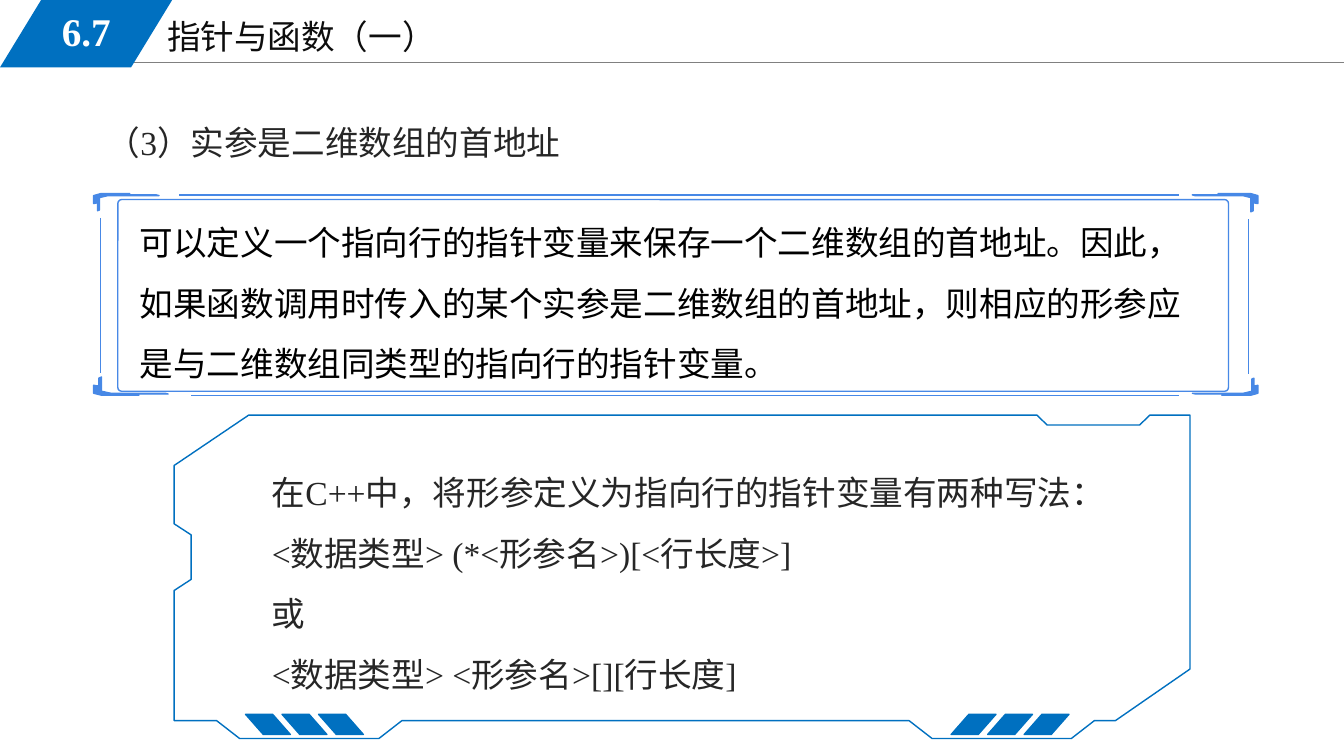
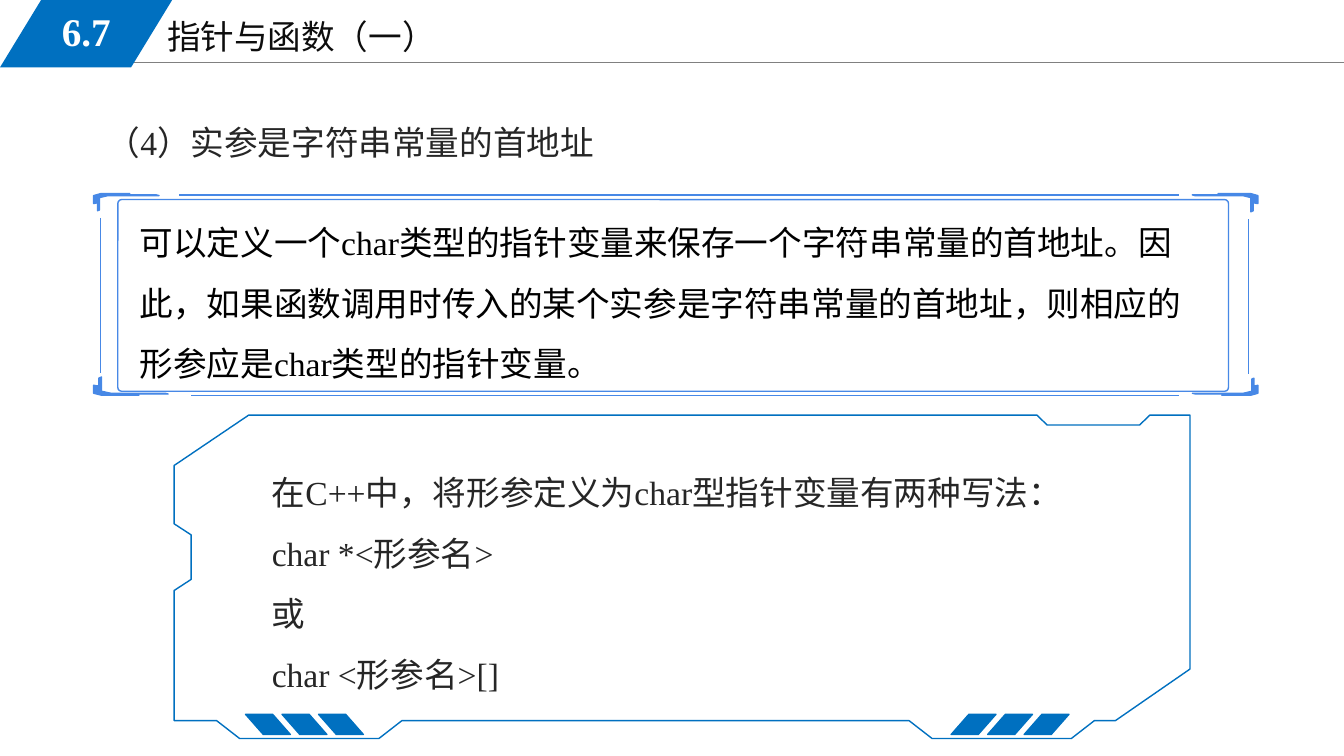
from lxml.etree import SubElement
from pptx import Presentation
from pptx.dml.color import RGBColor
from pptx.enum.shapes import MSO_CONNECTOR, MSO_SHAPE
from pptx.enum.text import MSO_ANCHOR, MSO_AUTO_SIZE, PP_ALIGN
from pptx.oxml.ns import qn
from pptx.util import Cm, Pt

BLUE = RGBColor(0x00, 0x70, 0xC0)
FRAME_BLUE = RGBColor(0x47, 0x88, 0xE6)
GREY = RGBColor(0x80, 0x80, 0x80)
TITLE_INK = RGBColor(0x0D, 0x0D, 0x0D)
INK = RGBColor(0x26, 0x26, 0x26)
BLACK = RGBColor(0x00, 0x00, 0x00)
WHITE = RGBColor(0xFF, 0xFF, 0xFF)

LATIN_FONT = "Times New Roman"
CJK_FONT = "Noto Sans CJK SC"
BODY_PITCH = Pt(43.2)

SLIDE_W, SLIDE_H = 33.87, 19.05
HEADING_BOX = (2.44, 2.44, 15.14, 1.63)
FRAME_BOX = (2.36, 4.88, 29.34, 5.08)
PANEL_BOX = (4.39, 10.46, 25.6, 8.15)

# Outlines in cm: brackets from their corner, the panel from its top left.
THIN_BRACKET = [
    (0.18, 0), (0.91, 0), (0.81, 0.03), (1.57, 0.03), (1.65, 0.05),
    (0.36, 0.05), (0.15, 0.1), (0.15, 0.41), (0.1, 0.43), (0.1, 0.23),
    (0, 0.25), (0, 0.05),
]
WIDE_BRACKET = [
    (0, 0.05), (0, 0.25), (0.13, 0.23), (0.13, 0.43), (0.2, 0.46),
    (0.2, 0.1), (0.43, 0.05), (1.8, 0.05), (1.88, 0.03), (1.02, 0.03),
    (1.14, 0), (0.2, 0),
]
PANEL_OUTLINE = [
    (19.1, 8.15), (22.61, 8.15), (23.19, 7.7), (23.72, 7.7), (25.6, 6.4),
    (25.6, 0), (24.59, 0), (24.33, 0.25), (22, 0.25), (21.74, 0),
    (1.88, 0), (0, 1.27), (0, 2.74), (0.43, 3.02), (0.43, 4.14),
    (0, 4.42), (0, 7.7), (1.07, 7.7), (1.65, 8.15), (5.16, 8.15),
    (5.74, 7.7), (18.52, 7.7),
]

SLIDES = [
    {
        "heading": "（3）实参是二维数组的首地址",
        "rule": "可以定义一个指向行的指针变量来保存一个二维数组的首地址。因此，"
                "如果函数调用时传入的某个实参是二维数组的首地址，则相应的形参应"
                "是与二维数组同类型的指向行的指针变量。",
        "syntax": [
            "在C++中，将形参定义为指向行的指针变量有两种写法：",
            "<数据类型> (*<形参名>)[<行长度>]",
            "或",
            "<数据类型> <形参名>[][行长度]",
        ],
    },
    {
        "heading": "（4）实参是字符串常量的首地址",
        "rule": "可以定义一个char类型的指针变量来保存一个字符串常量的首地址。因"
                "此，如果函数调用时传入的某个实参是字符串常量的首地址，则相应的"
                "形参应是char类型的指针变量。",
        "syntax": [
            "在C++中，将形参定义为char型指针变量有两种写法：",
            "char *<形参名>",
            "或",
            "char <形参名>[]",
        ],
    },
]


def style(sp, fill=None, line=None):
    sp.shadow.inherit = False
    if fill is None:
        sp.fill.background()
    else:
        sp.fill.solid()
        sp.fill.fore_color.rgb = fill
    if line is None:
        sp.line.fill.background()
    else:
        sp.line.color.rgb = line
        sp.line.width = Pt(1)


def add_preset(slide, kind, box, adj, fill=None, line=None):
    sp = slide.shapes.add_shape(kind, *map(Cm, box))
    sp.adjustments[0] = adj
    style(sp, fill, line)
    return sp


def add_outline(slide, points, fill=None, line=None):
    pts = [(Cm(x), Cm(y)) for x, y in points]
    builder = slide.shapes.build_freeform(*pts[0])
    builder.add_line_segments(pts[1:], close=True)
    style(builder.convert_to_shape(), fill, line)


def add_line(slide, x1, y1, x2, y2, color, width=1):
    line = slide.shapes.add_connector(
        MSO_CONNECTOR.STRAIGHT, Cm(x1), Cm(y1), Cm(x2), Cm(y2))
    line.line.color.rgb = color
    line.line.width = Pt(width)
    SubElement(line._element.spPr, qn("a:effectLst"))


def add_text(slide, box, lines, color, size=24, bold=False, align=None,
             pitch=None, anchor=MSO_ANCHOR.TOP, grow=False):
    tf = slide.shapes.add_textbox(*map(Cm, box)).text_frame
    tf.word_wrap = True
    tf.vertical_anchor = anchor
    if grow:
        tf.auto_size = MSO_AUTO_SIZE.SHAPE_TO_FIT_TEXT
    for i, text in enumerate(lines):
        p = tf.paragraphs[0] if i == 0 else tf.add_paragraph()
        p.alignment = align
        p.line_spacing = pitch
        r = p.add_run()
        r.text = text
        r.font.size = Pt(size)
        r.font.bold = bold
        r.font.color.rgb = color
        r.font.name = LATIN_FONT
        SubElement(r.font._element, qn("a:ea")).set("typeface", CJK_FONT)


def add_body(slide, box, lines, color=INK):
    add_text(slide, box, lines, color, pitch=BODY_PITCH, grow=True)


def add_title_band(slide):
    add_line(slide, 2.87, 1.57, SLIDE_W, 1.57, GREY, 0.75)
    add_text(slide, (3.96, 0.23, 14.4, 4.37), ["指针与函数（一）"],
             TITLE_INK, pitch=Pt(30))
    add_preset(slide, MSO_SHAPE.PARALLELOGRAM, (0, 0, 4.34, 1.7), 0.61, BLUE)
    add_text(slide, (0.64, 0.05, 3.07, 1.47), ["6.7"], WHITE, size=28,
             bold=True, align=PP_ALIGN.CENTER, anchor=MSO_ANCHOR.MIDDLE)


def add_rule_frame(slide, box, text):
    """Rounded box inside four edge lines and four corner brackets."""
    x, y, w, h = box
    add_body(slide, (x + 0.91, y + 0.08, w - 2.03, h - 0.2), [text], BLACK)
    add_preset(slide, MSO_SHAPE.ROUNDED_RECTANGLE,
               (x + 0.61, y + 0.15, w - 1.35, h - 0.25), 0.02,
               line=FRAME_BLUE)
    corners = [
        (THIN_BRACKET, x, y, 1, 1),
        (THIN_BRACKET, x + w, y + h, -1, -1),
        (WIDE_BRACKET, x, y + h, 1, -1),
        (WIDE_BRACKET, x + w, y, -0.88, 1),
    ]
    for bracket, cx, cy, sx, sy in corners:
        points = [(cx + sx * dx, cy + sy * dy) for dx, dy in bracket]
        add_outline(slide, points, FRAME_BLUE, FRAME_BLUE)
    edges = [
        (2.16, 0.03, w - 1.98, 0.03),
        (2.46, h, w - 1.98, h),
        (0.18, 0.61, 0.18, h - 0.56),
        (w - 0.23, 0.64, w - 0.23, h - 0.53),
    ]
    for x1, y1, x2, y2 in edges:
        add_line(slide, x + x1, y + y1, x + x2, y + y2, FRAME_BLUE)


def add_syntax_panel(slide, box, lines):
    """Notched outline with three slanted bars at each lower corner."""
    x, y, w, h = box
    add_body(slide, (x + 2.21, y + 0.81, w - 3.7, h - 1.93), lines)
    add_outline(slide, [(x + dx, y + dy) for dx, dy in PANEL_OUTLINE],
                line=BLUE)
    for start, mirrored in ((1.8, True), (19.58, False)):
        for i in range(3):
            bar = add_preset(slide, MSO_SHAPE.PARALLELOGRAM,
                             (x + start + 0.92 * i, y + 7.54, 1.13, 0.51),
                             0.88, BLUE, BLUE)
            if mirrored:
                bar._element.spPr.xfrm.set("flipH", "1")


def main():
    prs = Presentation()
    prs.slide_width, prs.slide_height = Cm(SLIDE_W), Cm(SLIDE_H)
    for content in SLIDES:
        slide = prs.slides.add_slide(prs.slide_layouts[6])
        add_title_band(slide)
        add_body(slide, HEADING_BOX, [content["heading"]])
        add_rule_frame(slide, FRAME_BOX, content["rule"])
        add_syntax_panel(slide, PANEL_BOX, content["syntax"])
    prs.save("out.pptx")


if __name__ == "__main__":
    main()
